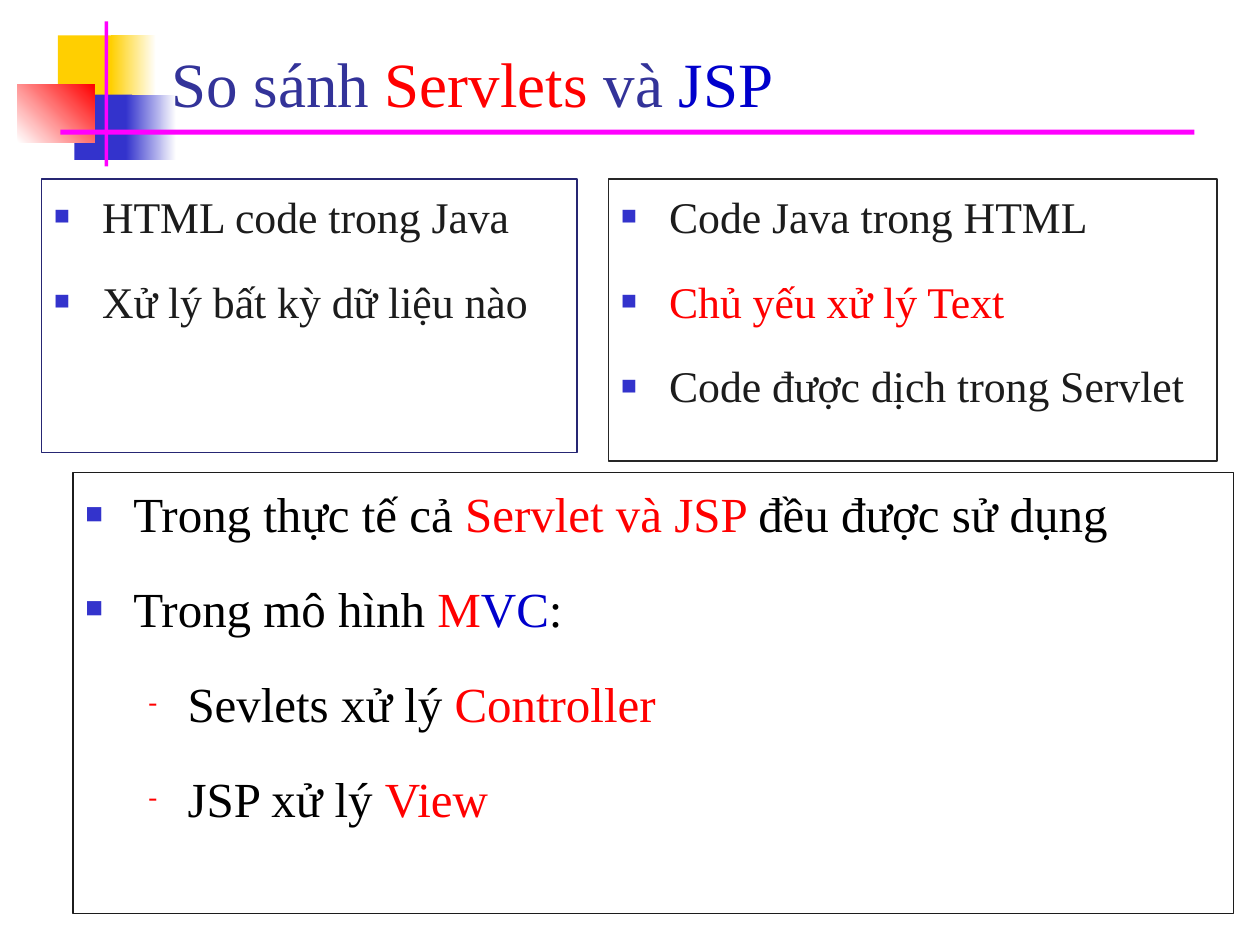
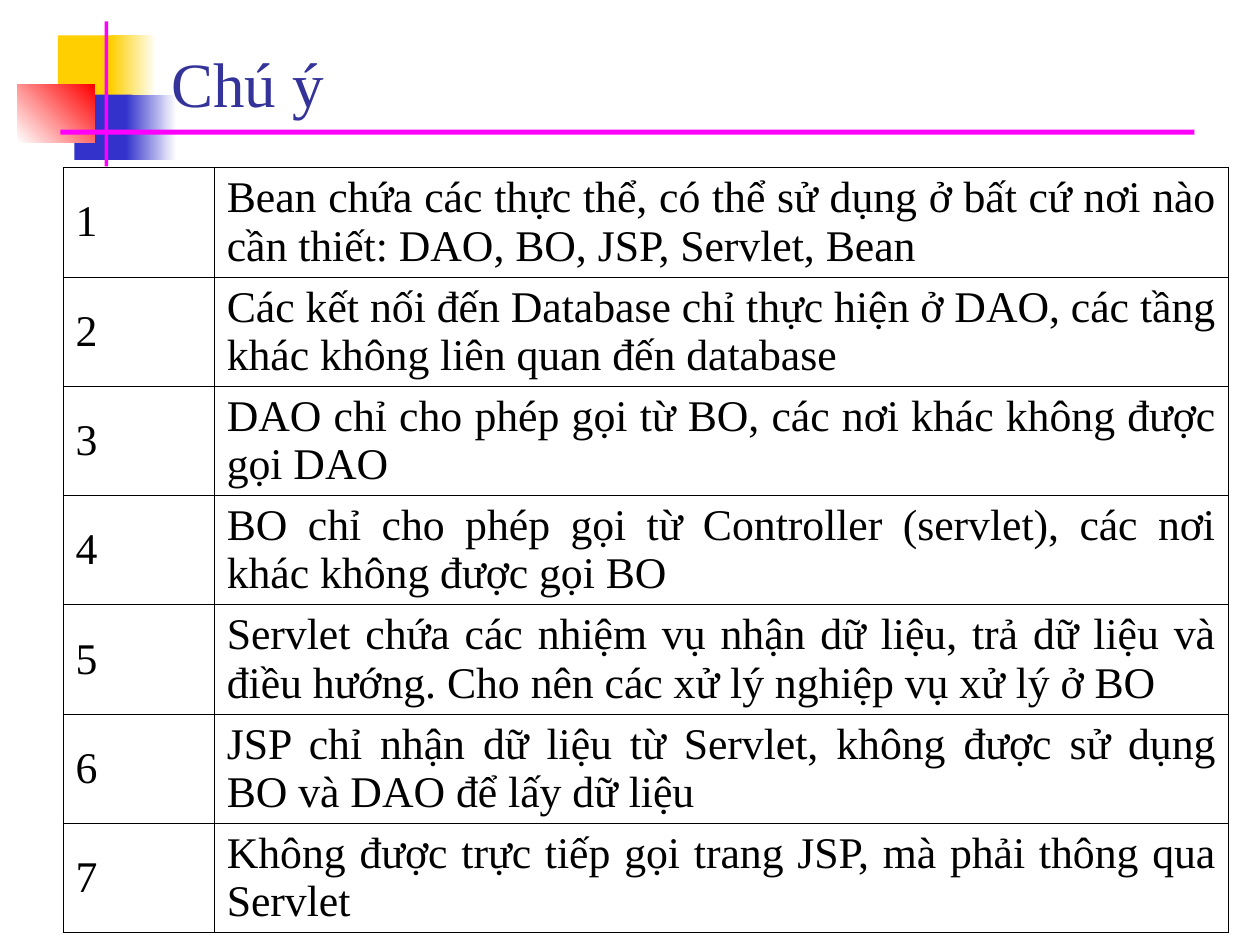
import pptx
import pptx.util
import pptx.dml.color
import pptx.enum.shapes
import pptx.enum.text
import pptx.oxml
import pptx.oxml.ns
from lxml import etree

Inches, Pt = pptx.util.Inches, pptx.util.Pt
ANCHOR = pptx.enum.text.MSO_ANCHOR
ALIGN = pptx.enum.text.PP_ALIGN

FONT = "Times New Roman"
COLORS = {
    "white": "FFFFFF", "black": "000000", "ink": "1C1C1C", "red": "FF0000",
    "yellow": "FFCF01", "blue": "3333CC", "magenta": "FF00FF",
    "title": "333399", "term": "0000CC",
    "left edge": "262673", "right edge": "262626",
}

# Box, then one fill colour or the two ends of a gradient and its angle
DECORATION = [
    ((0.46, 0.28, 0.48, 0.52), ("yellow",)),
    ((0.88, 0.28, 0.36, 0.52), ("yellow", "white", 0)),
    ((0.59, 0.75, 0.46, 0.52), ("blue",)),
    ((1.00, 0.75, 0.40, 0.52), ("blue", "white", 0)),
    ((0.14, 0.67, 0.61, 0.46), ("white", "red", 45)),
    ((0.83, 0.17, 0.03, 1.15), ("magenta",)),
    ((0.48, 1.03, 9.00, 0.04), ("magenta",)),
]
TITLE_BOX = (1.26, 0.23, 8.52, 0.77)

COMPARE_TITLE = [("So sánh ", "title"), ("Servlets", "red"),
                 (" và ", "title"), ("JSP", "term")]
# Each paragraph: level, runs
SERVLET_POINTS = [
    (0, [("HTML code trong Java", "ink")]),
    (0, [("Xử lý bất kỳ dữ liệu nào", "ink")]),
]
JSP_POINTS = [
    (0, [("Code Java trong HTML", "ink")]),
    (0, [("Chủ yếu xử lý Text", "red")]),
    (0, [("Code được dịch trong Servlet", "ink")]),
]
PRACTICE_POINTS = [
    (0, [("Trong thực tế cả ", "black"), ("Servlet và JSP ", "red"),
         ("đều được sử dụng", "black")]),
    (0, [("Trong mô hình ", "black"), ("M", "red"), ("VC", "term"),
         (":", "black")]),
    (1, [("Sevlets xử lý ", "black"), ("Controller", "red")]),
    (1, [("JSP xử lý ", "black"), ("View", "red")]),
]
LEFT_BOX = (0.33, 1.42, 4.25, 2.17)
RIGHT_BOX = (4.83, 1.42, 4.83, 2.24)
PRACTICE_BOX = (0.58, 3.75, 9.21, 3.5)

# Bullet, its colour and percent size, left margin, hanging indent
LEVELS = [("■", "blue", 60, 0.38, 0.38), ("-", "red", 55, 0.81, 0.31)]
SPACE_SHARE = 0.625
LINE_SPACING = 1.09

NOTES_TITLE = [("Chú ý", "title")]
NOTES = [
    "Bean chứa các thực thể, có thể sử dụng ở bất cứ nơi nào cần thiết: DAO, BO, JSP, Servlet, Bean",
    "Các kết nối đến Database chỉ thực hiện ở DAO, các tầng khác không liên quan đến database",
    "DAO chỉ cho phép gọi từ BO, các nơi khác không được gọi DAO",
    "BO chỉ cho phép gọi từ Controller (servlet), các nơi khác không được gọi BO",
    "Servlet chứa các nhiệm vụ nhận dữ liệu, trả dữ liệu và điều hướng. Cho nên các xử lý nghiệp vụ xử lý ở BO",
    "JSP chỉ nhận dữ liệu từ Servlet, không được sử dụng BO và DAO để lấy dữ liệu",
    "Không được trực tiếp gọi trang JSP, mà phải thông qua Servlet",
]
NOTES_BOX = (0.5, 1.33, 9.25, 5.83)
NUMBER_WIDTH = 1.2


def rgb(name):
    return pptx.dml.color.RGBColor.from_string(COLORS[name])


def place(shape, box):
    shape.left, shape.top, shape.width, shape.height = map(Inches, box)


def add_runs(p, runs, size):
    for text, color in runs:
        r = p.add_run()
        r.text = text
        r.font.name, r.font.size = FONT, Pt(size)
        r.font.color.rgb = rgb(color)


def add_sub(parent, tag, **attributes):
    return etree.SubElement(parent, pptx.oxml.ns.qn(tag), attributes)


def add_decoration(s):
    for box, (color, *fade) in DECORATION:
        sp = s.shapes.add_shape(pptx.enum.shapes.MSO_SHAPE.RECTANGLE,
                                *map(Inches, box))
        sp.shadow.inherit = False
        sp.line.fill.background()
        if fade:
            end, angle = fade
            sp.fill.gradient()
            sp.fill.gradient_angle = angle
            for stop, name in zip(sp.fill.gradient_stops, (color, end)):
                stop.color.rgb = rgb(name)
        else:
            sp.fill.solid()
            sp.fill.fore_color.rgb = rgb(color)


def add_titled_slide(prs, layout, runs):
    s = prs.slides.add_slide(prs.slide_layouts.get_by_name(layout))
    add_decoration(s)
    title = s.shapes.title
    title.element.getparent().append(title.element)  # bring to front
    place(title, TITLE_BOX)
    tf = title.text_frame
    tf.auto_size = pptx.enum.text.MSO_AUTO_SIZE.NONE
    tf.vertical_anchor = ANCHOR.BOTTOM
    tf.paragraphs[0].alignment = ALIGN.LEFT
    add_runs(tf.paragraphs[0], runs, 36)
    return s


def set_bullet(p, level):
    char, color, percent, margin, hanging = LEVELS[level]
    p.level = level
    pPr = p._p.get_or_add_pPr()
    pPr.set("marL", str(Inches(margin)))
    pPr.set("indent", str(-Inches(hanging)))
    add_sub(add_sub(pPr, "a:buClr"), "a:srgbClr", val=COLORS[color])
    add_sub(pPr, "a:buSzPct", val=str(percent * 1000))
    add_sub(pPr, "a:buFont", typeface=FONT)
    add_sub(pPr, "a:buChar", char=char)


def fill_list_box(sp, box, edge, points, size):
    place(sp, box)
    sp.line.color.rgb = rgb(edge)
    sp.line.width = Pt(0.75)
    tf = sp.text_frame
    tf.word_wrap = True
    tf.auto_size = pptx.enum.text.MSO_AUTO_SIZE.NONE
    for i, (level, runs) in enumerate(points):
        p = tf.add_paragraph() if i else tf.paragraphs[0]
        set_bullet(p, level)
        p.line_spacing = LINE_SPACING
        p.space_before = Pt(size * SPACE_SHARE if i else 0)
        add_runs(p, runs, size)


def set_borders(cell, color, width):
    tcPr = cell._tc.get_or_add_tcPr()
    for i, side in enumerate("LRTB"):
        ln = etree.Element(pptx.oxml.ns.qn(f"a:ln{side}"), w=str(Pt(width)))
        add_sub(add_sub(ln, "a:solidFill"), "a:srgbClr", val=COLORS[color])
        tcPr.insert(i, ln)


def add_notes_table(s):
    table = s.shapes.add_table(len(NOTES), 2, *map(Inches, NOTES_BOX)).table
    table.first_row = table.horz_banding = False
    table.columns[0].width = Inches(NUMBER_WIDTH)
    table.columns[1].width = Inches(NOTES_BOX[2] - NUMBER_WIDTH)
    for row, note in enumerate(NOTES):
        texts = [(str(row + 1), ANCHOR.MIDDLE), (note, ANCHOR.BOTTOM)]
        for column, (text, anchor) in enumerate(texts):
            cell = table.cell(row, column)
            cell.fill.background()
            cell.vertical_anchor = anchor
            set_borders(cell, "black", 0.45)
            p = cell.text_frame.paragraphs[0]
            p.alignment = ALIGN.JUSTIFY
            add_runs(p, [(text, "black")], 25)


def main():
    prs = pptx.Presentation()
    prs.slide_width, prs.slide_height = Inches(10), Inches(7.5)

    s = add_titled_slide(prs, "Two Content", COMPARE_TITLE)
    left, right = s.placeholders[1], s.placeholders[2]
    practice = s.shapes.add_textbox(*map(Inches, PRACTICE_BOX))
    fill_list_box(left, LEFT_BOX, "left edge", SERVLET_POINTS, 25)
    fill_list_box(right, RIGHT_BOX, "right edge", JSP_POINTS, 25)
    fill_list_box(practice, PRACTICE_BOX, "ink", PRACTICE_POINTS, 28)

    s = add_titled_slide(prs, "Title Only", NOTES_TITLE)
    add_notes_table(s)

    prs.save("out.pptx")


if __name__ == "__main__":
    main()
